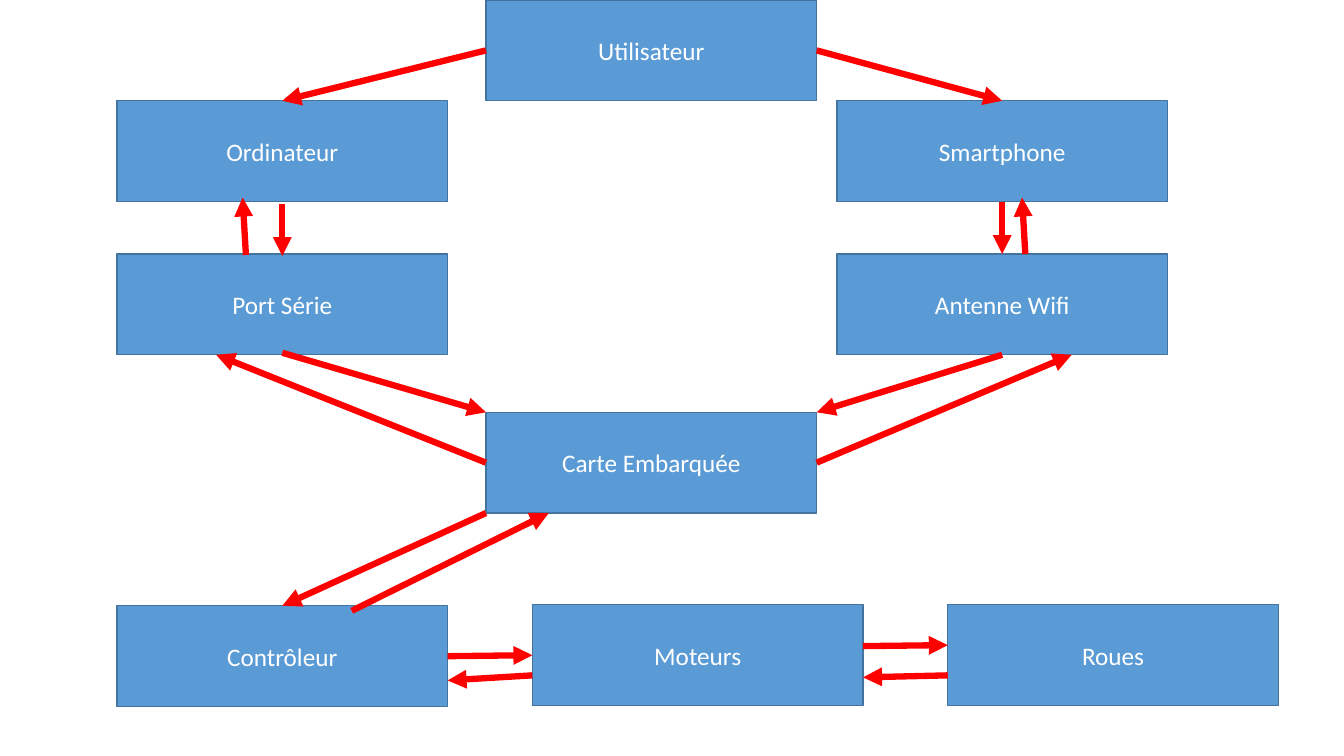
from lxml.etree import SubElement
from pptx import Presentation
from pptx.dml.color import RGBColor
from pptx.enum.shapes import MSO_CONNECTOR, MSO_SHAPE
from pptx.enum.text import MSO_ANCHOR, PP_ALIGN
from pptx.oxml.ns import qn
from pptx.util import Inches, Pt

COLORS = {"box": "5B9BD5", "border": "43739E", "label": "FFFFFF", "arrow": "FF0000"}
BOX_WIDTH, BOX_HEIGHT = 3.28, 1
LEFT, CENTER, RIGHT = 1.16, 4.82, 8.3

BLOCKS = {
    "Utilisateur": (CENTER, 0),
    "Ordinateur": (LEFT, 1),
    "Smartphone": (RIGHT, 1),
    "Port Série": (LEFT, 2.52),
    "Antenne Wifi": (RIGHT, 2.52),
    "Carte Embarquée": (CENTER, 4.09),
    "Contrôleur": (LEFT, 6.01),
    "Moteurs": (5.28, 6),
    "Roues": (9.4, 6),
}

# Each end: block, then fraction of its width and height
FLOWS = [
    (("Utilisateur", 1, 0.5), ("Smartphone", 0.5, 0)),
    (("Utilisateur", 0, 0.5), ("Ordinateur", 0.5, 0)),
    (("Smartphone", 0.5, 1), ("Antenne Wifi", 0.5, 0)),
    (("Ordinateur", 0.5, 1.02), ("Port Série", 0.5, 0.02)),
    (("Antenne Wifi", 0.5, 1), ("Carte Embarquée", 1, 0)),
    (("Port Série", 0.5, 0.98), ("Carte Embarquée", 0, 0)),
    (("Carte Embarquée", 0, 1), ("Contrôleur", 0.5, 0)),
    (("Contrôleur", 0.71, 0.05), ("Carte Embarquée", 0.19, 1)),
    (("Carte Embarquée", 1, 0.5), ("Antenne Wifi", 0.71, 1)),
    (("Carte Embarquée", 0, 0.5), ("Port Série", 0.3, 1)),
    (("Antenne Wifi", 0.57, 0), ("Smartphone", 0.56, 0.96)),
    (("Port Série", 0.39, 0.01), ("Ordinateur", 0.38, 0.96)),
    (("Contrôleur", 1, 0.5), ("Moteurs", 0, 0.5)),
    (("Moteurs", 0, 0.7), ("Contrôleur", 1, 0.74)),
    (("Moteurs", 1, 0.41), ("Roues", 0, 0.4)),
    (("Roues", 0, 0.7), ("Moteurs", 1, 0.72)),
]


def color(key):
    return RGBColor.from_string(COLORS[key])


def write(frame, text, *, size=18, font="Calibri", ink="label"):
    frame.word_wrap = True
    frame.vertical_anchor = MSO_ANCHOR.MIDDLE
    paragraph = frame.paragraphs[0]
    paragraph.alignment = PP_ALIGN.CENTER
    run = paragraph.add_run()
    run.text = text
    run.font.size = Pt(size)
    run.font.name = font
    run.font.color.rgb = color(ink)


def add_block(label, left, top):
    block = slide.shapes.add_shape(
        MSO_SHAPE.RECTANGLE, Inches(left), Inches(top), Inches(BOX_WIDTH), Inches(BOX_HEIGHT))
    block.shadow.inherit = False
    block.fill.solid()
    block.fill.fore_color.rgb = color("box")
    block.line.color.rgb = color("border")
    block.line.width = Pt(1)
    write(block.text_frame, label)


def locate(label, across, down):
    left, top = BLOCKS[label]
    return Inches(left + across * BOX_WIDTH), Inches(top + down * BOX_HEIGHT)


def add_flow(start, end):
    flow = slide.shapes.add_connector(MSO_CONNECTOR.STRAIGHT, *locate(*start), *locate(*end))
    flow.line.color.rgb = color("arrow")
    flow.line.width = Pt(4.5)
    SubElement(flow.line._get_or_add_ln(), qn("a:tailEnd"), type="triangle")
    SubElement(flow._element.spPr, qn("a:effectLst"))


presentation = Presentation()
presentation.slide_width, presentation.slide_height = Inches(13.33), Inches(7.5)
slide = presentation.slides.add_slide(presentation.slide_layouts[6])

for label, position in BLOCKS.items():
    add_block(label, *position)
for start, end in FLOWS:
    add_flow(start, end)

presentation.save("out.pptx")
